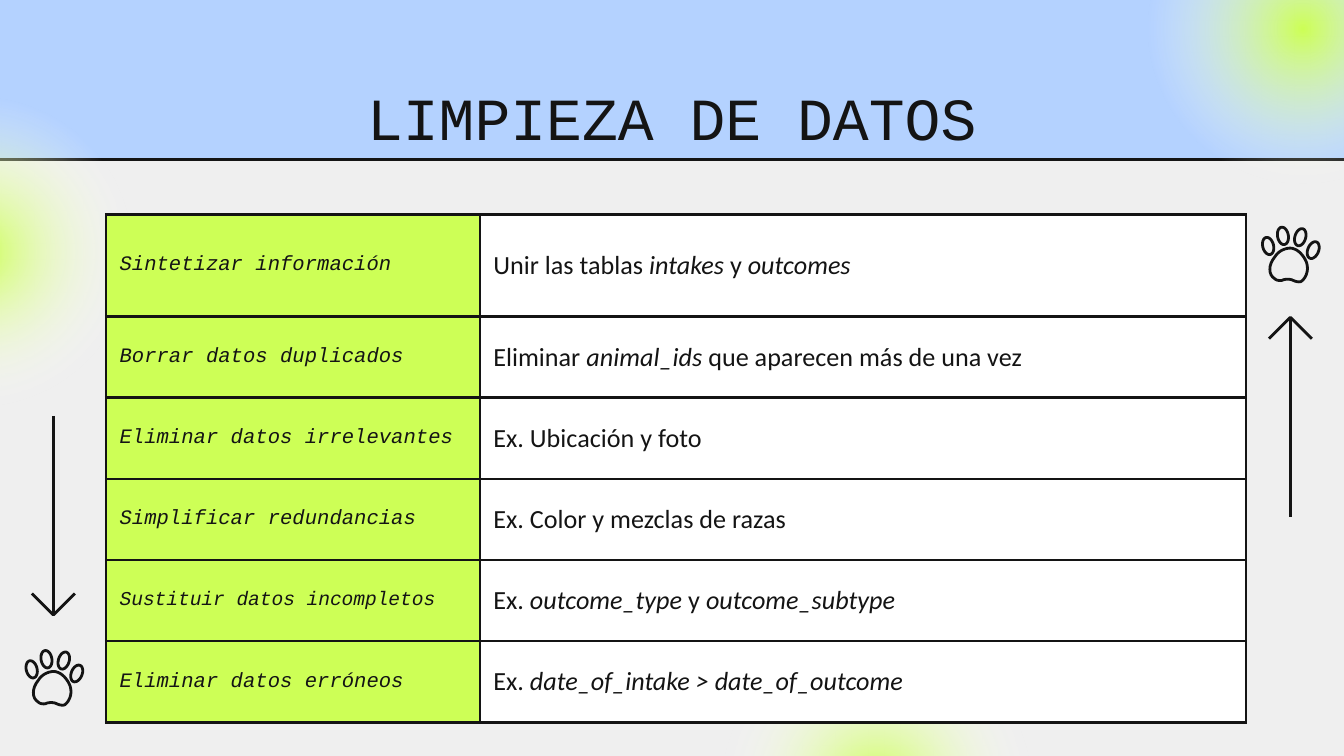
from math import cos, pi, radians, sin
from lxml import etree
from pptx import Presentation
from pptx.dml.color import RGBColor
from pptx.enum import shapes, text
from pptx.oxml import ns, parse_xml
from pptx.util import Pt

INK = RGBColor(0x14, 0x14, 0x14)
LIME = RGBColor(0xCD, 0xFF, 0x56)
SKY = RGBColor(0xB4, 0xD2, 0xFF)
WHITE = RGBColor(0xFF, 0xFF, 0xFF)
PAPER = RGBColor(0xEF, 0xEF, 0xEF)

GLOW = f"""<a:gradFill {ns.nsdecls('a')} rotWithShape="1"><a:gsLst>
<a:gs pos="0"><a:srgbClr val="{LIME}"/></a:gs>
<a:gs pos="64000"><a:srgbClr val="{WHITE}"><a:alpha val="0"/></a:srgbClr></a:gs>
<a:gs pos="100000"><a:srgbClr val="{WHITE}"><a:alpha val="0"/></a:srgbClr></a:gs>
</a:gsLst><a:path path="circle">
<a:fillToRect l="50000" t="50000" r="50000" b="50000"/></a:path></a:gradFill>"""

HEAD = dict(name="Courier New", size=Pt(32), bold=False)
LABEL = dict(name="Courier New", italic=True)
BODY = dict(name="Calibri", size=Pt(14))
INSET = dict(margin_left=Pt(7.2), margin_right=Pt(7.2),
             margin_top=Pt(7.2), margin_bottom=Pt(7.2),
             vertical_anchor=text.MSO_ANCHOR.MIDDLE)
FRAME = dict(margin_top=Pt(13.3), margin_bottom=0, word_wrap=True,
             auto_size=text.MSO_AUTO_SIZE.NONE,
             vertical_anchor=text.MSO_ANCHOR.TOP)

ROWS = [
    ("Sintetizar información", 11, 16, "Unir las tablas *intakes* y *outcomes*"),
    ("Borrar datos duplicados", 11, 16,
     "Eliminar *animal_ids* que aparecen más de una vez"),
    ("Eliminar datos irrelevantes", 11, 16, "Ex. Ubicación y foto"),
    ("Simplificar redundancias", 11, 16, "Ex. Color y mezclas de razas"),
    ("Sustituir datos incompletos", 10.5, 0,
     "Ex. *outcome_type *y *outcome_subtype*"),
    ("Eliminar datos erróneos", 11, 16,
     "Ex. *date_of_intake > date_of_outcome*"),
]

TOES = [(4, 10.8, -14), (11.9, 5.4, -10), (21.2, 6.1, 17), (28.1, 13, 22)]
PAD = [(15.8, 11.9), (12.2, 12.2), (9.4, 13.7), (7.6, 16.6),
       (4, 20.9), (4, 26.3), (7.6, 28.4),
       (8.3, 29.2), (10.1, 29.5), (11.5, 29.2),
       (13, 28.4), (15.8, 28.4), (17.3, 29.2),
       (18.7, 29.9), (20.2, 30.2), (21.6, 29.9),
       (24.8, 27.7), (26.3, 22.3), (23.8, 18),
       (22, 14.8), (19.4, 12.2), (15.8, 11.9)]


def put(item, vals):
    for key, val in vals.items():
        setattr(item, key, val)


def curve(knots, steps=8):
    dots = [knots[0]]
    for i in range(0, len(knots) - 1, 3):
        for n in range(1, steps + 1):
            t = n / steps
            mix = ((1 - t) ** 3, 3 * t * (1 - t) ** 2, 3 * t * t * (1 - t), t ** 3)
            dots.append(tuple(sum(m * k[axis] for m, k in zip(mix, knots[i:i + 4]))
                              for axis in (0, 1)))
    return dots


def oval(x, y, tilt, wide=2.9, high=4.7, steps=32):
    c, s = cos(radians(tilt)), sin(radians(tilt))
    turns = [2 * pi * n / steps for n in range(steps)]
    return [(x + wide * cos(a) * c - high * sin(a) * s,
             y + wide * cos(a) * s + high * sin(a) * c) for a in turns]


class Deck:
    def __init__(self):
        self.prs = Presentation()
        put(self.prs, dict(slide_width=Pt(720), slide_height=Pt(405)))
        self.slide = self.prs.slides.add_slide(self.prs.slide_layouts[5])
        self.items = self.slide.shapes
        fill = self.slide.background.fill
        fill.solid()
        fill.fore_color.rgb = PAPER

    def say(self, para, words, style):
        run = para.add_run()
        run.text = words
        put(run.font, style)
        run.font.color.rgb = INK

    def ink(self, line, width=1.5):
        line.color.rgb = INK
        line.width = Pt(width)

    def band(self, x, y, w, h):
        box = self.items.add_shape(shapes.MSO_SHAPE.RECTANGLE,
                                   Pt(x), Pt(y), Pt(w), Pt(h))
        box.shadow.inherit = False
        box.fill.solid()
        box.fill.fore_color.rgb = SKY
        box.line.fill.background()

    def rule(self, x, y, end):
        line = self.items.add_connector(shapes.MSO_CONNECTOR.STRAIGHT,
                                        Pt(x), Pt(y), Pt(end), Pt(y))
        self.ink(line.line)
        etree.SubElement(line.element.spPr, ns.qn("a:effectLst"))

    def glow(self, x, y, size=183):
        disc = self.items.add_shape(shapes.MSO_SHAPE.OVAL,
                                    Pt(x), Pt(y), Pt(size), Pt(size))
        disc.shadow.inherit = False
        disc.line.fill.background()
        disc.element.spPr.insert(2, parse_xml(GLOW))

    def title(self, words, x, y, w, h):
        head = self.items.title
        put(head, dict(left=Pt(x), top=Pt(y), width=Pt(w), height=Pt(h)))
        put(head.text_frame, FRAME)
        para = head.text_frame.paragraphs[0]
        para.alignment = text.PP_ALIGN.CENTER
        self.say(para, words, HEAD)
        self.items.element.append(head.element)

    def cell(self, cell, color):
        put(cell, INSET)
        cell.fill.solid()
        cell.fill.fore_color.rgb = color
        for i, side in enumerate("LRTB"):
            cell._tc.tcPr.insert(i, parse_xml(
                f'<a:ln{side} {ns.nsdecls("a")} w="19050"><a:solidFill>'
                f'<a:srgbClr val="{INK}"/></a:solidFill></a:ln{side}>'))
        return cell.text_frame.paragraphs[0]

    def table(self, rows, x, y, wides, highs):
        grid = self.items.add_table(len(rows), len(wides), Pt(x), Pt(y),
                                    Pt(sum(wides)), Pt(sum(highs))).table
        put(grid, dict(first_row=False, horz_banding=False))
        for col, wide in zip(grid.columns, wides):
            col.width = Pt(wide)
        for row, high, (label, size, gap, note) in zip(grid.rows, highs, rows):
            row.height = Pt(high)
            left, right = row.cells
            self.say(self.cell(left, LIME), label, dict(LABEL, size=Pt(size)))
            para = self.cell(right, WHITE)
            para.space_after = Pt(gap)
            for i, part in enumerate(note.split("*")):
                if part:
                    self.say(para, part, dict(BODY, italic=i % 2 == 1))

    def trace(self, x, y, lines, close):
        lines = [[(Pt(x + a), Pt(y + b)) for a, b in line] for line in lines]
        pen = self.items.build_freeform(*lines[0][0])
        for i, line in enumerate(lines):
            if i:
                pen.move_to(*line[0])
            pen.add_line_segments(line[1:], close=close)
        form = pen.convert_to_shape()
        form.shadow.inherit = False
        form.fill.background()
        self.ink(form.line)

    def paw(self, x, y):
        for ring in [curve(PAD)] + [oval(*toe) for toe in TOES]:
            self.trace(x, y, [ring], True)

    def arrow(self, x, tip, tail):
        way = 1 if tail > tip else -1
        self.trace(x, tip, [[(0, tail - tip), (0, 0)],
                            [(-11.5, 11.5 * way), (0, 0), (11.5, 11.5 * way)]], False)


def main():
    deck = Deck()
    deck.band(0, 0, 720, 85)
    deck.rule(0, 85.5, 723.6)
    for x, y in [(-103.7, 43.2), (378, 329.8), (606.2, -76.3)]:
        deck.glow(x, y)
    deck.title("LIMPIEZA DE DATOS", 56.2, 30.2, 607.7, 48.2)
    deck.table(ROWS, 56.9, 114.9, [200.2, 410.4], [54.7] + [43.5] * 5)
    deck.paw(675.4, 121)
    deck.paw(13, 347.8)
    deck.arrow(28.6, 329.5, 222.8)
    deck.arrow(691.3, 170, 276.8)
    deck.prs.save("out.pptx")


if __name__ == "__main__":
    main()
